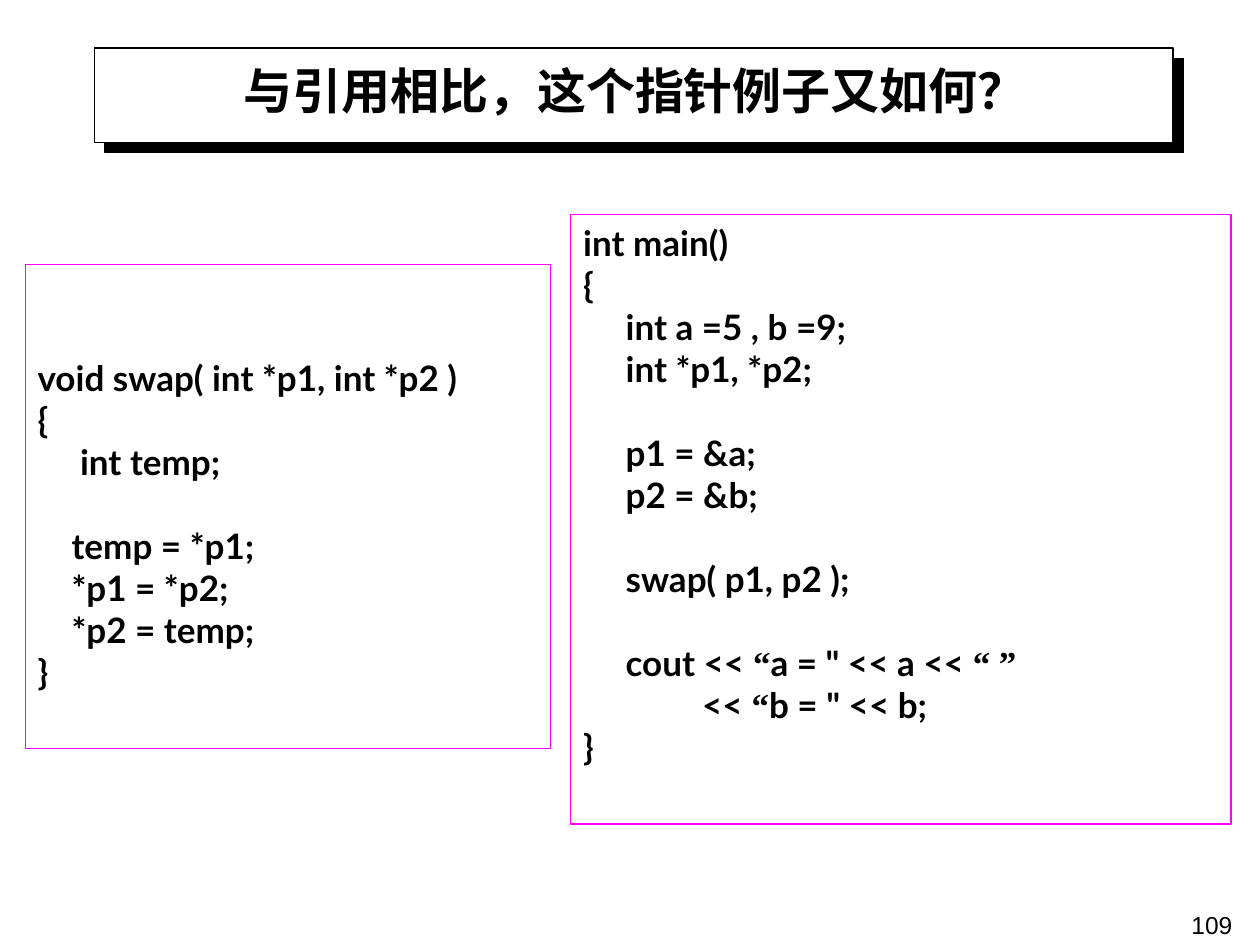
import itertools

import lxml.etree
import pptx
import pptx.dml.color
import pptx.enum.shapes
import pptx.enum.text
import pptx.oxml.ns
import pptx.util

Inches, Pt = pptx.util.Inches, pptx.util.Pt
PP_ALIGN = pptx.enum.text.PP_ALIGN
ANCHOR = pptx.enum.text.MSO_ANCHOR
qn = pptx.oxml.ns.qn

BLACK, WHITE, MAGENTA = "000000", "FFFFFF", "FF00FF"
CODE_LINE = Pt(24)

SWAP_CODE = """\
void swap( int *p1, int *p2 )
{
     int temp;

    temp = *p1;
    *p1 = *p2;
    *p2 = temp;
}"""

MAIN_CODE = """\
int main()
{
     int a =5 , b =9;
     int *p1, *p2;

     p1 = &a;
     p2 = &b;

     swap( p1, p2 );

     cout << “a = " << a << “ ”
              << “b = " << b;
}"""


def rgb(value):
    return pptx.dml.color.RGBColor.from_string(value)


def add_run(p, text, **fmt):
    """Add black text, using its font for East Asian characters too."""
    r = p.add_run()
    r.text = text
    for name, value in fmt.items():
        setattr(r.font, name, value)
    r.font.color.rgb = rgb(BLACK)
    ea = lxml.etree.SubElement(r.font._element, qn("a:ea"))
    ea.set("typeface", fmt["name"])


def add_rect(slide, box, line, fill=None):
    sp = slide.shapes.add_shape(pptx.enum.shapes.MSO_SHAPE.RECTANGLE, *box)
    sp.shadow.inherit = False
    if fill:
        sp.fill.solid()
        sp.fill.fore_color.rgb = rgb(fill)
    else:
        sp.fill.background()
    sp.line.color.rgb = rgb(line)
    sp.line.width = Pt(0.75)
    return sp


def add_hard_shadow(sp, distance, color):
    """Give the shape an unblurred shadow to its lower right."""
    effects = sp._element.spPr.find(qn("a:effectLst"))
    shadow = lxml.etree.SubElement(effects, qn("a:outerShdw"))
    for name, value in {"dist": distance, "dir": 45 * 60000, "algn": "ctr", "rotWithShape": 0}.items():
        shadow.set(name, str(value))
    lxml.etree.SubElement(shadow, qn("a:srgbClr")).set("val", color)


def add_label(slide, box, text, align, anchor, **fmt):
    tf = slide.shapes.add_textbox(*box).text_frame
    tf.word_wrap = True
    tf.vertical_anchor = anchor
    p = tf.paragraphs[0]
    p.alignment = align
    add_run(p, text, **fmt)


def add_title(slide, left, top, width, height, text):
    frame = add_rect(slide, (left, top, width, height), BLACK, WHITE)
    add_hard_shadow(frame, Pt(8.5), BLACK)
    label_box = (left, top - Inches(0.02), width + Inches(0.02), height - Inches(0.04))
    add_label(slide, label_box, text, PP_ALIGN.CENTER, ANCHOR.MIDDLE,
              name="Noto Sans CJK SC", size=Pt(28), bold=True)


def add_code(slide, box, code, lines_above=0):
    """Set code in a frame; a blank line becomes space before the next line."""
    tf = add_rect(slide, box, MAGENTA).text_frame
    tf.word_wrap = True
    tf.vertical_anchor = ANCHOR.TOP
    tf.margin_top = Inches(0.06) + lines_above * CODE_LINE
    p = tf.paragraphs[0]
    for i, block in enumerate(code.split("\n\n")):
        for j, line in enumerate(block.split("\n")):
            if i or j:
                p = tf.add_paragraph()
            p.alignment = PP_ALIGN.LEFT
            if i and not j:
                p.space_before = CODE_LINE
            for is_quote, chars in itertools.groupby(line, lambda c: c in "“”"):
                font = "Times New Roman" if is_quote else "Lato"
                add_run(p, "".join(chars), name=font, size=Pt(20), bold=True)


def main():
    prs = pptx.Presentation()
    prs.slide_width, prs.slide_height = Inches(10), Inches(7.5)
    slide = prs.slides.add_slide(prs.slide_layouts[6])

    add_title(slide, Inches(0.75), Inches(0.38), Inches(8.56), Inches(0.75),
              "与引用相比，这个指针例子又如何？")
    add_label(slide, (Inches(7.55), Inches(7.17), Inches(2.33), Inches(0.52)), "109",
              PP_ALIGN.RIGHT, ANCHOR.TOP, name="Arial", size=Pt(14))
    add_code(slide, (Inches(0.2), Inches(2.1), Inches(4.17), Inches(3.84)),
             SWAP_CODE, lines_above=2)
    add_code(slide, (Inches(4.53), Inches(1.7), Inches(5.24), Inches(4.84)), MAIN_CODE)

    prs.save("out.pptx")


if __name__ == "__main__":
    main()
